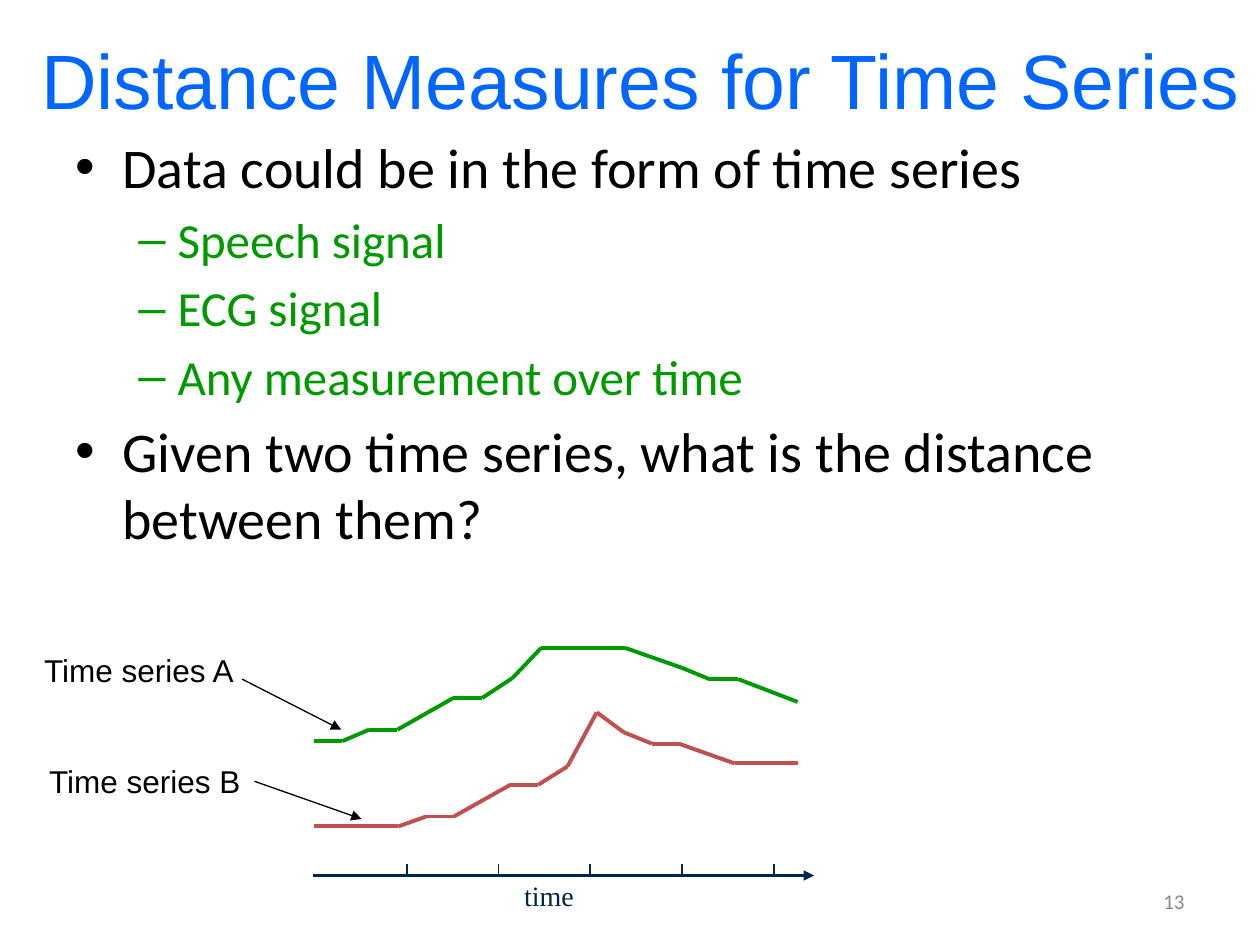
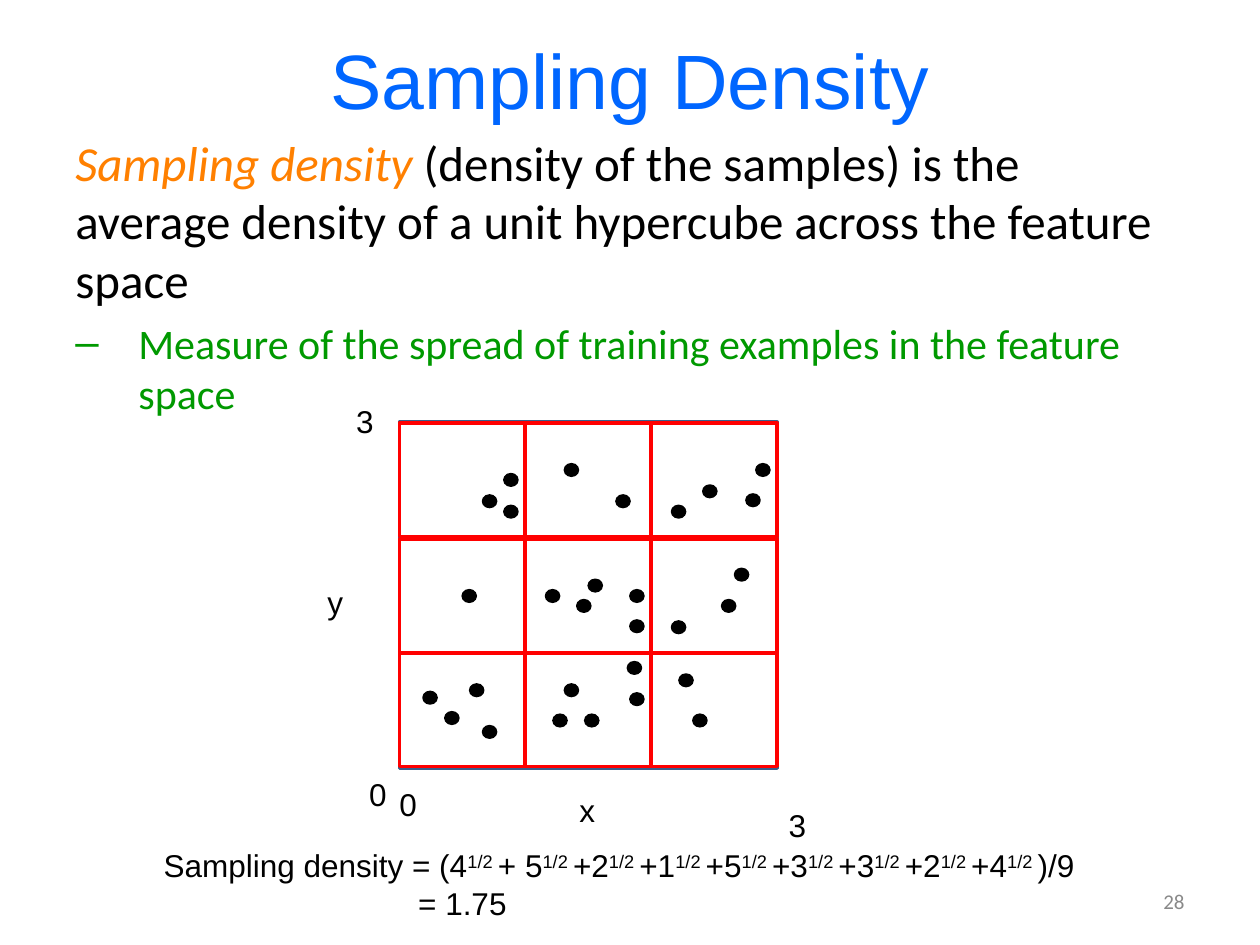
from itertools import pairwise

from lxml.etree import SubElement
from pptx import Presentation
from pptx.dml.color import RGBColor
from pptx.enum.shapes import MSO_CONNECTOR, MSO_SHAPE
from pptx.enum.text import MSO_ANCHOR, MSO_AUTO_SIZE, PP_ALIGN
from pptx.oxml.ns import qn
from pptx.util import Cm, Pt

BLACK = RGBColor(0x00, 0x00, 0x00)
WHITE = RGBColor(0xFF, 0xFF, 0xFF)
BLUE = RGBColor(0x00, 0x66, 0xFF)
GREEN = RGBColor(0x00, 0x99, 0x00)
ORANGE = RGBColor(0xFF, 0x80, 0x00)
BRICK = RGBColor(0xC0, 0x50, 0x4D)
NAVY = RGBColor(0x00, 0x26, 0x4C)
STEEL = RGBColor(0x3A, 0x5F, 0x8C)
RED = RGBColor(0xFF, 0x00, 0x00)
GREY = RGBColor(0x89, 0x89, 0x89)

TOPIC = dict(size=32, color=BLACK, bullet="•", margin=0.95, hanging=0.95)
DETAIL = dict(size=28, color=GREEN, bullet="–", margin=2.06, hanging=0.79)
DEFINITION = dict(size=28, color=BLACK)
REMARK = dict(size=24, color=GREEN, bullet="–", margin=1.27, hanging=1.27)

SERIES_BODY = [
    ("Data could be in the form of time series", TOPIC),
    ("Speech signal", DETAIL),
    ("ECG signal", DETAIL),
    ("Any measurement over time", DETAIL),
    ("Given two time series, what is the distance between them?", TOPIC),
]
SERIES = [
    (GREEN, [(6.32, 14.94), (6.9, 14.94), (7.44, 14.71), (8.01, 14.71),
             (9.14, 14.07), (9.72, 14.07), (10.33, 13.67), (10.91, 13.06),
             (12.6, 13.06), (13.74, 13.46), (14.3, 13.69), (14.88, 13.69),
             (16.08, 14.15)]),
    (BRICK, [(6.32, 16.66), (8.03, 16.66), (8.59, 16.46), (9.15, 16.46),
             (10.29, 15.82), (10.85, 15.82), (11.44, 15.45), (12.03, 14.36),
             (12.57, 14.76), (13.14, 14.99), (13.68, 14.99), (14.81, 15.39),
             (16.08, 15.39)]),
]
SERIES_LABELS = [
    ("Time series A", (0.64, 13, 4.37, 1.02), (4.88, 13.69), (6.88, 14.71)),
    ("Time series B", (0.74, 15.24, 4.42, 1.02), (5.13, 15.75), (7.29, 16.51)),
]
AXIS_START, AXIS_END = (6.3, 17.65), (16.41, 17.65)
FIRST_TICK, TICK_GAP, TICK_COUNT = 8.2, 1.85, 5

DENSITY_BODY = [
    ([("Sampling density ", ORANGE, True),
      ("(density of the samples) is the average density of a unit hypercube "
       "across the feature space", BLACK, False)], DEFINITION),
    ("Measure of the spread of training examples in the feature space", REMARK),
]
SQUARE = (8.05, 8.51, 7.62, 6.98)
CELL_WIDTH, CELL_HEIGHT = 2.54, 2.29
ROW_TOPS = [13.16, 10.87, 8.53]
SAMPLES = [
    [(8.53, 13.94), (8.97, 14.35), (9.47, 13.79), (9.73, 14.63)],
    [(11.38, 13.79), (11.79, 14.4), (11.15, 14.4), (12.65, 13.34), (12.7, 13.97)],
    [(13.69, 13.59), (13.97, 14.4)],
    [(9.32, 11.89)],
    [(11.63, 12.09), (11.86, 11.68), (12.7, 12.5), (11, 11.89), (12.7, 11.89)],
    [(14.55, 12.09), (13.54, 12.52), (14.81, 11.46)],
    [(9.73, 9.98), (10.16, 9.55), (10.16, 10.19)],
    [(12.42, 9.98), (11.38, 9.35)],
    [(15.24, 9.35), (14.17, 9.78), (15.04, 9.96), (13.54, 10.19)],
]
DOT_SIZE = (0.28, 0.25)
AXIS_LABELS = [("y", 6.35, 11.63), ("x", 11.43, 15.82), ("0", 7.19, 15.49),
               ("0", 7.8, 15.7), ("3", 6.93, 7.98), ("3", 15.65, 16.13)]
TERM_LEADS = ["Sampling density = (", "+ "] + ["+"] * 7


def lengths(values):
    return [Cm(value) for value in values]


def set_font(font, size, color, name="Arial"):
    font.size, font.name = Pt(size), name
    font.color.rgb = color


def indent(para, margin, hanging=0):
    properties = para._p.get_or_add_pPr()
    properties.set("marL", str(Cm(margin)))
    properties.set("indent", str(-Cm(hanging)))
    return properties


def add_text(page, text, place, size, color=BLACK, name="Arial",
             align=PP_ALIGN.LEFT, wrap=False):
    box = page.shapes.add_textbox(*lengths(place))
    frame = box.text_frame
    frame.word_wrap = wrap
    frame.auto_size = MSO_AUTO_SIZE.NONE if wrap else MSO_AUTO_SIZE.SHAPE_TO_FIT_TEXT
    para = frame.paragraphs[0]
    para.text, para.alignment = text, align
    set_font(para.font, size, color, name)
    return box


def add_body(page, items, height):
    frame = page.shapes.add_textbox(*lengths((1.27, 2.54, 22.86, height))).text_frame
    frame.word_wrap = True
    for number, (content, style) in enumerate(items):
        para = frame.add_paragraph() if number else frame.paragraphs[0]
        if number:
            para.space_before = Pt(style["size"] * 0.2)
        if "bullet" in style:
            properties = indent(para, style["margin"], style["hanging"])
            SubElement(properties, qn("a:buFont"), typeface="Arial")
            SubElement(properties, qn("a:buChar"), char=style["bullet"])
        set_font(para.font, style["size"], style["color"], "Calibri")
        if isinstance(content, str):
            para.text = content
            continue
        for words, color, italic in content:
            span = para.add_run()
            span.text = words
            span.font.italic = italic
            span.font.color.rgb = color


def add_page(deck, heading, left, number):
    page = deck.slides.add_slide(deck.slide_layouts[5])
    title = page.shapes.title
    title.left, title.top, title.width, title.height = lengths(
        (left, 0, 25.4 - left if left < 1 else 25.4 - 2 * left, 3.18))
    title.text_frame.vertical_anchor = MSO_ANCHOR.MIDDLE
    para = title.text_frame.paragraphs[0]
    para.text, para.alignment = heading, PP_ALIGN.CENTER
    set_font(para.font, 44, BLUE)
    footer = add_text(page, number, (18.21, 17.65, 5.92, 1.02), 12, GREY,
                      "Calibri", PP_ALIGN.RIGHT, wrap=True)
    footer.text_frame.vertical_anchor = MSO_ANCHOR.MIDDLE
    return page


def add_line(shapes, start, end, color, width, arrow=False):
    line = shapes.add_connector(MSO_CONNECTOR.STRAIGHT, *lengths(start + end))
    line.line.color.rgb = color
    line.line.width = Pt(width)
    if arrow:
        SubElement(line.line._get_or_add_ln(), qn("a:tailEnd"), type="triangle")
    SubElement(line._element.spPr, qn("a:effectLst"))


def add_figure(page, kind, place, fill=None, outline=None, width=1):
    figure = page.shapes.add_shape(kind, *lengths(place))
    figure.shadow.inherit = False
    if fill is None:
        figure.fill.background()
    else:
        figure.fill.solid()
        figure.fill.fore_color.rgb = fill
    if outline is None:
        figure.line.fill.background()
    else:
        figure.line.color.rgb = outline
        figure.line.width = Pt(width)
    return figure


def build_series_page(deck):
    page = add_page(deck, "Distance Measures for Time Series", 0.43, "13")
    add_body(page, SERIES_BODY, 15.04)

    caption = add_figure(page, MSO_SHAPE.RECTANGLE, (10.69, 17.42, 0.76, 1.27), WHITE)
    caption.text_frame.word_wrap = False
    caption.text_frame.vertical_anchor = MSO_ANCHOR.MIDDLE
    para = caption.text_frame.paragraphs[0]
    para.text, para.alignment = "time", PP_ALIGN.CENTER
    set_font(para.font, 16, NAVY, "Times New Roman")

    axis = page.shapes.add_group_shape().shapes
    add_line(axis, AXIS_START, AXIS_END, NAVY, 1.5, arrow=True)
    for tick in range(TICK_COUNT):
        x = FIRST_TICK + tick * TICK_GAP
        add_line(axis, (x, 17.42), (x, 17.63), NAVY, 1)

    for color, points in SERIES:
        curve = page.shapes.add_group_shape().shapes
        for start, end in pairwise(points):
            add_line(curve, start, end, color, 2.25)
    for text, place, start, end in SERIES_LABELS:
        add_line(page.shapes, start, end, BLACK, 0.75, arrow=True)
        add_text(page, text, place, 18)


def add_formula(page):
    box = add_text(page, "", (3.05, 16.94, 19.84, 1.8), 18, wrap=True)
    para = box.text_frame.paragraphs[0]
    for lead, dots in zip(TERM_LEADS, SAMPLES):
        para.add_run().text = f"{lead}{len(dots)}"
        power = para.add_run()
        power.text = "1/2 "
        power.font._element.set("baseline", "30000")
    para.add_run().text = ")/9"
    result = box.text_frame.add_paragraph()
    result.text = "= 1.75"
    indent(result, 5.13)
    set_font(result.font, 18, BLACK)


def build_density_page(deck):
    page = add_page(deck, "Sampling Density", 1.27, "28")
    add_body(page, DENSITY_BODY, 14.4)
    add_figure(page, MSO_SHAPE.RECTANGLE, SQUARE, outline=STEEL, width=2)
    for text, left, top in AXIS_LABELS:
        add_text(page, text, (left, top, 0.86, 1.02), 18)
    for top in ROW_TOPS:
        for column in range(3):
            place = (SQUARE[0] + column * CELL_WIDTH, top, CELL_WIDTH, CELL_HEIGHT)
            add_figure(page, MSO_SHAPE.RECTANGLE, place, outline=RED, width=2)
    for dots in SAMPLES:
        for dot in dots:
            add_figure(page, MSO_SHAPE.OVAL, dot + DOT_SIZE, BLACK, BLACK)
    add_formula(page)


def main():
    deck = Presentation()
    deck.slide_width, deck.slide_height = Cm(25.4), Cm(19.05)
    build_series_page(deck)
    build_density_page(deck)
    deck.save("out.pptx")


if __name__ == "__main__":
    main()
